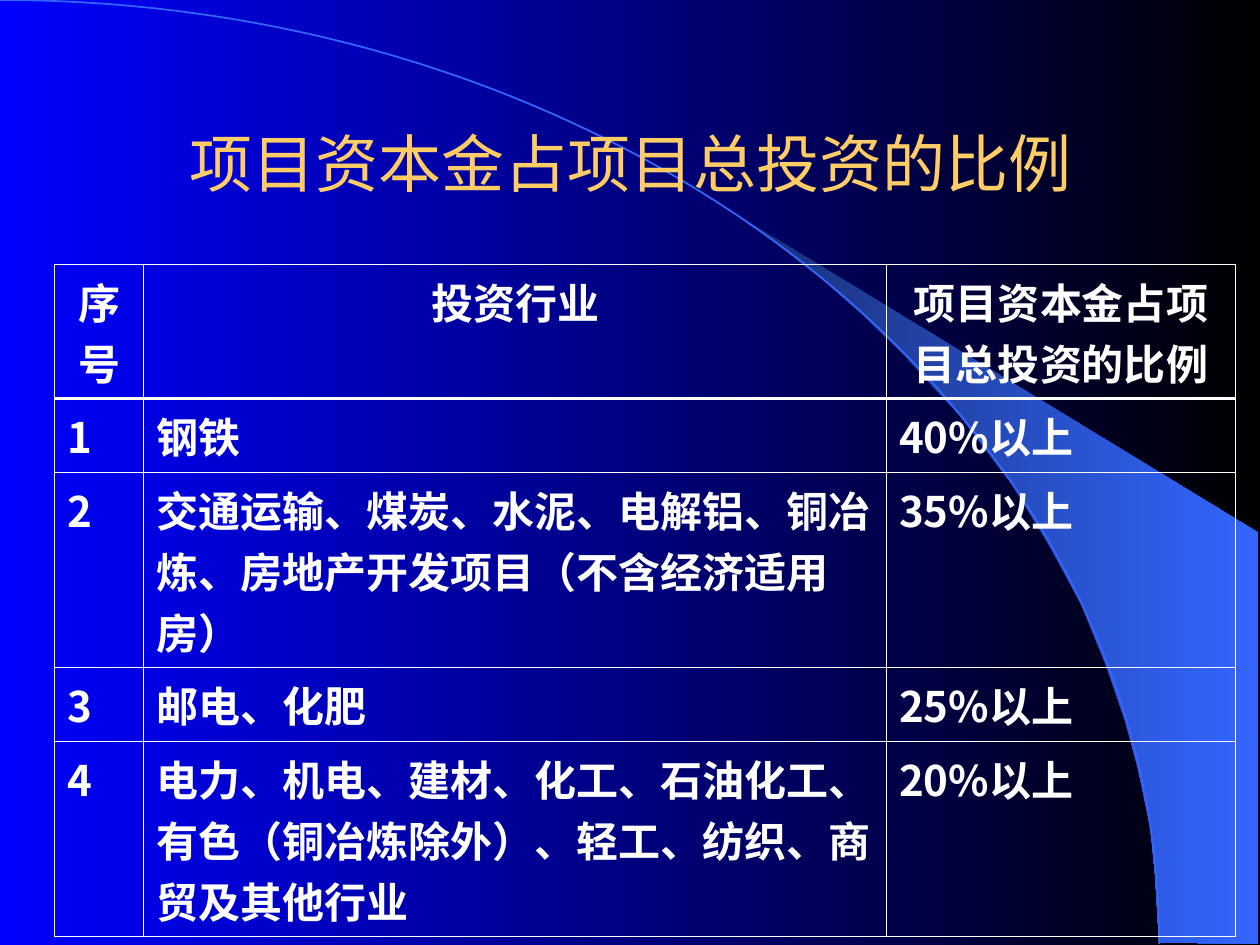
"""Build the slide on project capital as a share of total investment."""
from lxml import etree
from pptx import Presentation
from pptx.dml import color
from pptx.enum import text
from pptx.oxml import ns
from pptx.util import Pt

THEME = {
    "font": "Noto Sans CJK SC",
    "title_size": 36, "table_size": 24,
    "title": "FFCC66", "text": "FFFFFF", "border": "FFFFFF",
    "background": ("0000FF", "000000"),
    "crescent": ("182F76", "3366FF"), "arc": "3366FF",
    "thin": 0.45, "thick": 1.47,
}
TITLE = "项目资本金占项目总投资的比例"
TITLE_BOX = (54.4, 47.8, 612, 90)
ROWS = [
    ("序号", "投资行业", "项目资本金占项目总投资的比例"),
    ("1", "钢铁", "40%以上"),
    ("2", "交通运输、煤炭、水泥、电解铝、铜冶炼、房地产开发项目（不含经济适用房）", "35%以上"),
    ("3", "邮电、化肥", "25%以上"),
    ("4", "电力、机电、建材、化工、石油化工、有色（铜冶炼除外）、轻工、纺织、商贸及其他行业", "20%以上"),
]
TABLE_ORIGIN = (31.2, 151.2)
COLUMN_WIDTHS = (50.8, 424.6, 199.4)
ROW_HEIGHTS = (76.6, 42.3, 111.4, 42.3, 111.4)
CRESCENT = [
    (662.4, 538.6), (719.3, 539.3), (719.3, 304.6), (424.1, 124.6), (449.3, 143.3),
    (470.2, 159.8), (493.2, 180), (515.5, 201.6), (548.6, 237.6), (578.2, 276.5),
    (599, 310.3), (617.8, 344.9), (632.2, 380.2), (643, 411.8), (650.2, 438.5),
    (657.4, 472.3), (660.2, 501.1),
]
ARC_END = (662.4, 539.28)
ARC_CONTROLS = [(365.76, 0), (662.4, 241.2)]


def rgb(value):
    return color.RGBColor.from_string(value)


def points(pairs):
    return [(Pt(x), Pt(y)) for x, y in pairs]


def set_gradient(fill, colours):
    fill.gradient()
    fill.gradient_angle = 0
    for stop, value in zip(fill.gradient_stops, colours):
        stop.color.rgb = rgb(value)


def add_outline(slide, pairs, close):
    start, *rest = points(pairs)
    builder = slide.shapes.build_freeform(*start)
    builder.add_line_segments(rest, close=close)
    shape = builder.convert_to_shape()
    shape.shadow.inherit = False
    return shape


def add_arc(slide):
    shape = add_outline(slide, [(0, 0), ARC_END], False)
    shape.fill.background()
    shape.line.color.rgb = rgb(THEME["arc"])
    shape.line.width = Pt(1)
    segment = shape._element.find(".//" + ns.qn("a:lnTo"))
    segment.tag = ns.qn("a:cubicBezTo")
    for index, (x, y) in enumerate(points(ARC_CONTROLS)):
        control = etree.Element(ns.qn("a:pt"), x=str(x), y=str(y))
        segment.insert(index, control)


def write(paragraph, content, size, colour, bold=False, centred=False):
    paragraph.alignment = text.PP_ALIGN.CENTER if centred else text.PP_ALIGN.LEFT
    run = paragraph.add_run()
    run.text = content
    font = run.font
    font.name, font.size, font.bold = THEME["font"], Pt(size), bold
    font.color.rgb = rgb(colour)
    latin = run._r.rPr.find(ns.qn("a:latin"))
    latin.addnext(etree.Element(ns.qn("a:ea"), typeface=THEME["font"]))


def set_borders(cell, widths):
    properties = cell._tc.get_or_add_tcPr()
    for index, (side, width) in enumerate(widths.items()):
        line = etree.Element(ns.qn("a:ln" + side), w=str(Pt(width)))
        fill = etree.SubElement(line, ns.qn("a:solidFill"))
        etree.SubElement(fill, ns.qn("a:srgbClr"), val=THEME["border"])
        properties.insert(index, line)


def add_title(slide):
    frame = slide.shapes.add_textbox(*map(Pt, TITLE_BOX)).text_frame
    frame.word_wrap = True
    frame.vertical_anchor = text.MSO_ANCHOR.MIDDLE
    write(frame.paragraphs[0], TITLE, THEME["title_size"], THEME["title"], centred=True)


def add_ratio_table(slide):
    size = (sum(COLUMN_WIDTHS), sum(ROW_HEIGHTS))
    table = slide.shapes.add_table(
        len(ROWS), len(COLUMN_WIDTHS), *map(Pt, TABLE_ORIGIN + size)).table
    table.first_row = table.horz_banding = False
    for column, width in zip(table.columns, COLUMN_WIDTHS):
        column.width = Pt(width)
    for row, height in zip(table.rows, ROW_HEIGHTS):
        row.height = Pt(height)
    thin, thick = THEME["thin"], THEME["thick"]
    for row_index, values in enumerate(ROWS):
        header = row_index == 0
        widths = {"L": thin, "R": thin,
                  "T": thick if row_index == 1 else thin,
                  "B": thick if header else thin}
        for column_index, value in enumerate(values):
            cell = table.cell(row_index, column_index)
            cell.fill.background()
            set_borders(cell, widths)
            write(cell.text_frame.paragraphs[0], value, THEME["table_size"],
                  THEME["text"], bold=True, centred=header)


def main():
    presentation = Presentation()
    presentation.slide_width, presentation.slide_height = Pt(720), Pt(540)
    slide = presentation.slides.add_slide(presentation.slide_layouts[6])
    set_gradient(slide.background.fill, THEME["background"])
    crescent = add_outline(slide, CRESCENT, True)
    set_gradient(crescent.fill, THEME["crescent"])
    crescent.line.fill.background()
    add_arc(slide)
    add_title(slide)
    add_ratio_table(slide)
    presentation.save("out.pptx")


if __name__ == "__main__":
    main()
